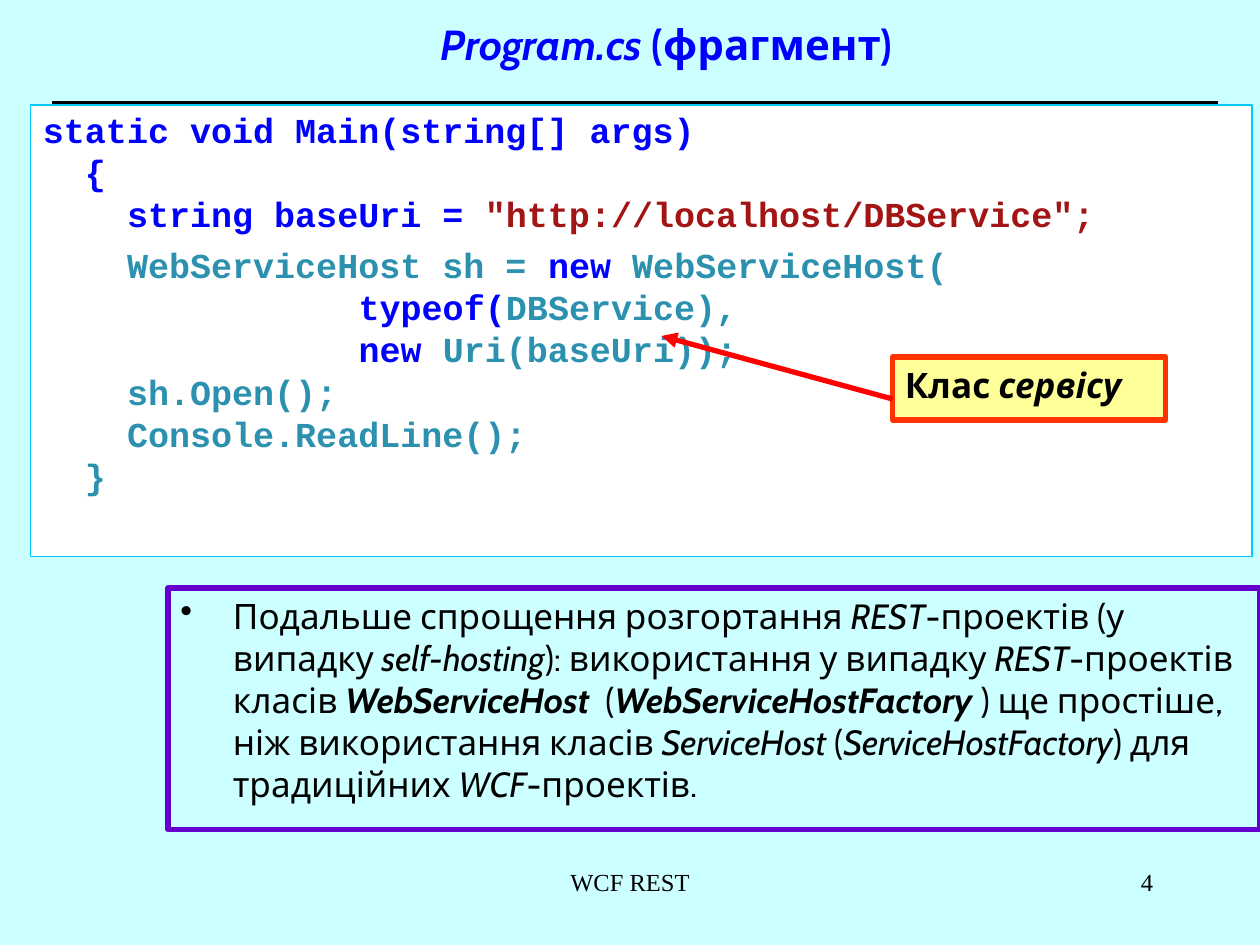
"""Build the slide about the Program.cs fragment and its service class."""
from dataclasses import dataclass

from lxml import etree
from pptx import Presentation
from pptx import util as u
from pptx.dml import color
from pptx.enum import shapes, text
from pptx.oxml import ns


@dataclass(frozen=True)
class Theme:
    """Colours, fonts and type sizes of the slide."""
    background: str = "CCFFFF"
    ink: str = "000000"
    keyword: str = "0000FF"
    literal: str = "A31515"
    type_name: str = "2B91AF"
    code_fill: str = "FFFFFF"
    code_line: str = "00CCFF"
    note_line: str = "6600CC"
    callout_fill: str = "FFFF99"
    callout_line: str = "FF3300"
    arrow: str = "FF0000"
    body_font: str = "Cabin"
    code_font: str = "Courier New"
    footer_font: str = "Times New Roman"
    title_size: float = 24
    body_size: float = 20
    footer_size: float = 14


THEME = Theme()

CODE = [
    [("static void Main(string[] args)", THEME.keyword)],
    [("  {", THEME.keyword)],
    [("    string baseUri = ", THEME.keyword),
     ('"http://localhost/DBService";', THEME.literal)],
    [("    WebServiceHost sh = ", THEME.type_name), ("new ", THEME.keyword),
     ("WebServiceHost(\n               ", THEME.type_name),
     ("typeof(", THEME.keyword),
     ("DBService),\n               ", THEME.type_name),
     ("new ", THEME.keyword), ("Uri(baseUri));", THEME.type_name)],
    [("    sh.Open();", THEME.type_name)],
    [("    Console.ReadLine();", THEME.type_name)],
    [("  }", THEME.type_name)],
]

NOTE = [
    ("Подальше спрощення розгортання ", ""), ("REST", "i"),
    ("-проектів (у випадку ", ""), ("self-hosting", "i"),
    ("): використання у випадку ", ""), ("REST", "i"),
    ("-проектів класів ", ""), ("WebServiceHost  ", "bi"), ("(", ""),
    ("WebServiceHostFactory", "bi"),
    (" ) ще простіше, ніж використання класів ", ""), ("ServiceHost", "i"),
    (" (", ""), ("ServiceHostFactory", "i"), (") для традиційних ", ""),
    ("WCF", "i"), ("-проектів.", ""),
]


def rgb(value):
    """Turn a hex string into a colour."""
    return color.RGBColor.from_string(value)


def format_run(run, font, size, ink, style=""):
    """Set the font of a run; style holds b for bold and i for italic."""
    run.font.name = font
    run.font.size = u.Pt(size)
    run.font.color.rgb = rgb(ink)
    run.font.bold = "b" in style
    run.font.italic = "i" in style


def add_runs(paragraph, content, font, size, ink, style=""):
    """Append text to a paragraph, with a line break at each newline."""
    for index, line in enumerate(content.split("\n")):
        if index:
            paragraph.add_line_break()
        run = paragraph.add_run()
        run.text = line
        format_run(run, font, size, ink, style)


def prepare_frame(shape, anchor=text.MSO_ANCHOR.TOP, top=3.6):
    """Set wrapping, anchor and insets, and return the text frame."""
    frame = shape.text_frame
    frame.word_wrap = True
    frame.vertical_anchor = anchor
    frame.margin_left = frame.margin_right = u.Pt(7.2)
    frame.margin_top, frame.margin_bottom = u.Pt(top), u.Pt(3.6)
    return frame


def add_panel(slide, bounds, line, width, fill=None):
    """Add an outlined rectangle, filled if a colour is given."""
    shape = slide.shapes.add_shape(shapes.MSO_SHAPE.RECTANGLE, *map(u.Pt, bounds))
    shape.shadow.inherit = False
    if fill:
        shape.fill.solid()
        shape.fill.fore_color.rgb = rgb(fill)
    else:
        shape.fill.background()
    shape.line.color.rgb = rgb(line)
    shape.line.width = u.Pt(width)
    return shape


def add_line(slide, start, end, ink, width, arrow=False):
    """Add a straight line, with an arrowhead at its end if wanted."""
    connector = slide.shapes.add_connector(
        shapes.MSO_CONNECTOR.STRAIGHT, *map(u.Pt, (*start, *end)))
    connector.line.color.rgb = rgb(ink)
    connector.line.width = u.Pt(width)
    if arrow:
        outline = connector.line._get_or_add_ln()
        etree.SubElement(outline, ns.qn("a:tailEnd"), type="triangle")
    etree.SubElement(connector._element.spPr, ns.qn("a:effectLst"))


def set_indent(paragraph, indent, bullet=None):
    """Give a paragraph a hanging indent and optionally a bullet."""
    paragraph.alignment = text.PP_ALIGN.LEFT
    properties = paragraph._p.get_or_add_pPr()
    properties.set("marL", str(u.Pt(indent)))
    properties.set("indent", str(u.Pt(-indent)))
    if bullet:
        bullet_color = etree.SubElement(properties, ns.qn("a:buClr"))
        etree.SubElement(bullet_color, ns.qn("a:srgbClr"), val=THEME.ink)
        etree.SubElement(properties, ns.qn("a:buChar"), char=bullet)


def add_title(slide):
    """Add the centred title."""
    shape = slide.shapes.add_textbox(*map(u.Pt, (60, 0, 642, 54)))
    paragraph = prepare_frame(shape, text.MSO_ANCHOR.MIDDLE).paragraphs[0]
    paragraph.alignment = text.PP_ALIGN.CENTER
    paragraph.line_spacing = 0.9
    for content, style in (("Program.cs ", "bi"), ("(фрагмент)", "b")):
        add_runs(paragraph, content, THEME.body_font, THEME.title_size,
                 THEME.keyword, style)


def add_code(slide):
    """Add the code panel."""
    shape = add_panel(slide, (17.5, 60, 698, 258), THEME.code_line, 1, THEME.code_fill)
    frame = prepare_frame(shape, top=6.5)
    for index, statement in enumerate(CODE):
        paragraph = frame.add_paragraph() if index else frame.paragraphs[0]
        paragraph.alignment = text.PP_ALIGN.LEFT
        paragraph.line_spacing = 1.0 if len(statement) > 2 else 0.8
        paragraph.space_before = u.Pt(5 if index else 0)
        for content, ink in statement:
            add_runs(paragraph, content, THEME.code_font, THEME.body_size, ink, "b")


def add_prose(slide, panel, pieces, indent, bullet=None):
    """Fill a panel with one paragraph of styled pieces."""
    paragraph = prepare_frame(panel).paragraphs[0]
    set_indent(paragraph, indent, bullet)
    for content, style in pieces:
        add_runs(paragraph, content, THEME.body_font, THEME.body_size,
                 THEME.ink, style)


def add_footer(slide, bounds, content, alignment):
    """Add a footer text."""
    shape = slide.shapes.add_textbox(*map(u.Pt, bounds))
    frame = prepare_frame(shape)
    frame.text = content
    paragraph = frame.paragraphs[0]
    paragraph.alignment = alignment
    format_run(paragraph.runs[0], THEME.footer_font, THEME.footer_size, THEME.ink)


def main():
    """Build and save the presentation."""
    presentation = Presentation()
    presentation.slide_width, presentation.slide_height = u.Pt(720), u.Pt(540)
    slide = presentation.slides.add_slide(presentation.slide_layouts[6])
    slide.background.fill.solid()
    slide.background.fill.fore_color.rgb = rgb(THEME.background)
    add_line(slide, (30, 60), (696, 60), THEME.ink, 4.5)
    add_title(slide)
    add_code(slide)
    note = add_panel(slide, (96, 336, 624, 138), THEME.note_line, 3)
    add_prose(slide, note, NOTE, 30, "•")
    callout = add_panel(slide, (510, 204, 156, 36), THEME.callout_line, 3,
                        THEME.callout_fill)
    add_prose(slide, callout, [("Клас", "b"), (" сервісу", "bi")], 15)
    add_line(slide, (510, 228), (378, 192), THEME.arrow, 3, arrow=True)
    add_footer(slide, (246, 492, 228, 36), "WCF REST", text.PP_ALIGN.CENTER)
    add_footer(slide, (516, 492, 150, 36), "4", text.PP_ALIGN.RIGHT)
    presentation.save("out.pptx")


if __name__ == "__main__":
    main()
